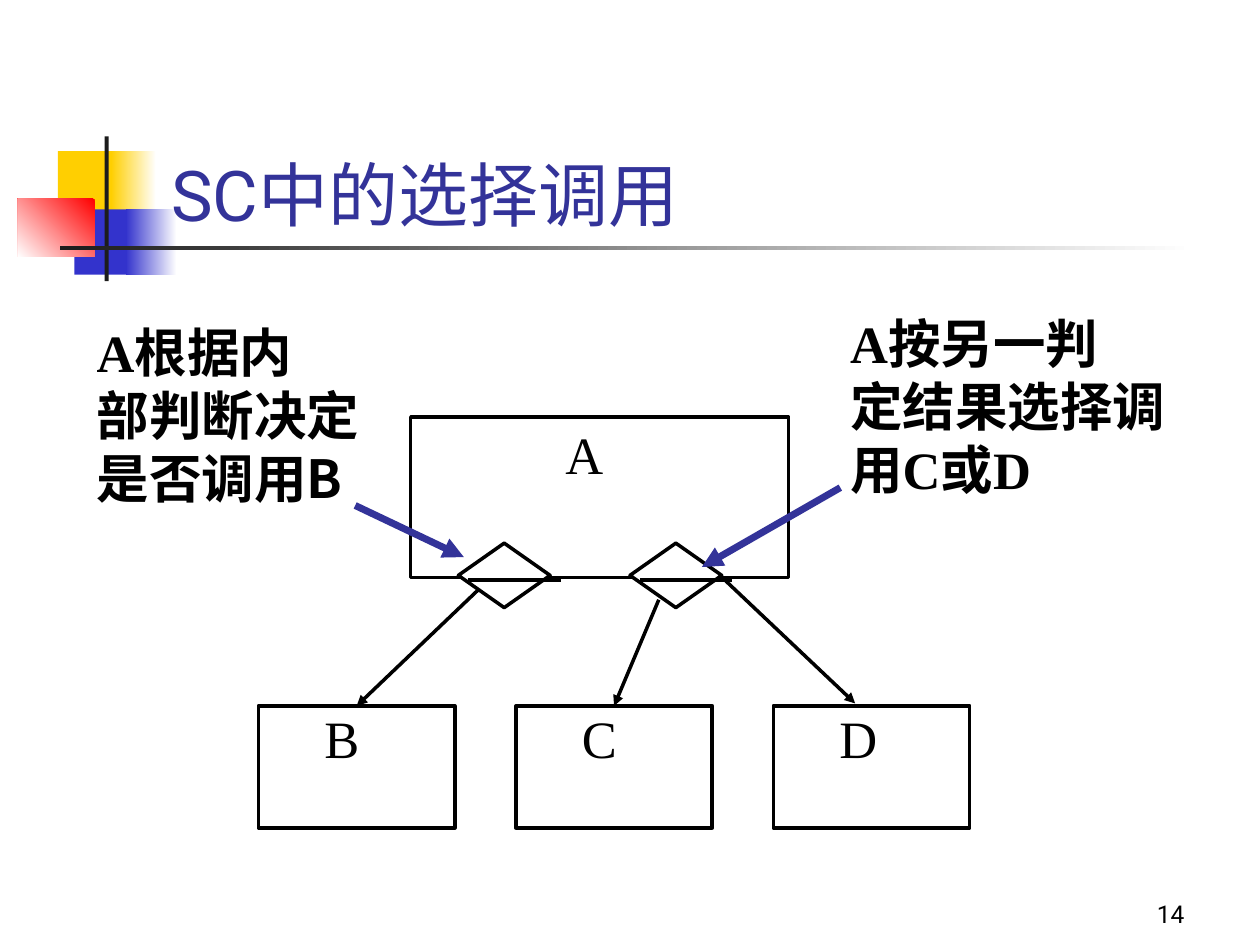
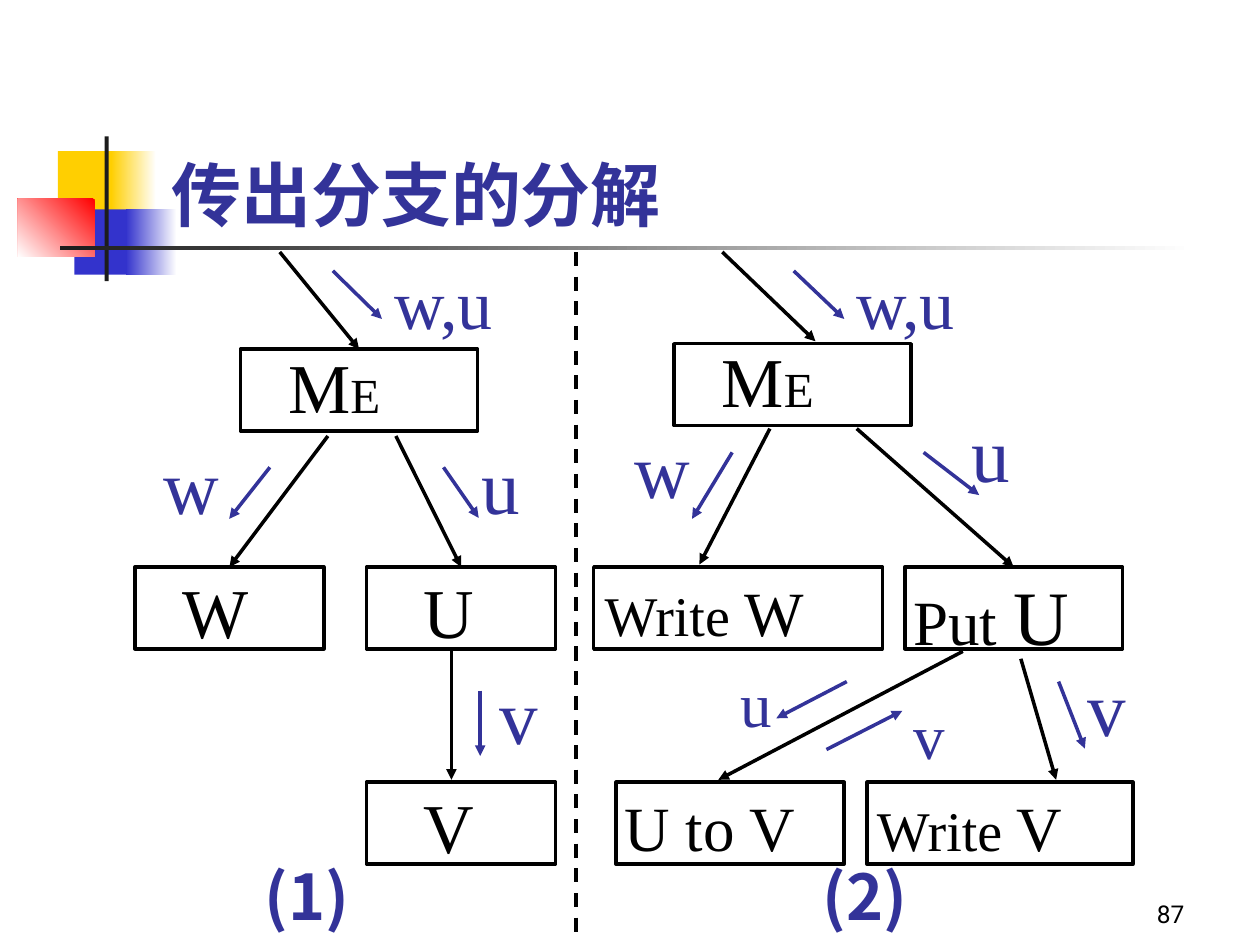
from lxml import etree
from pptx import Presentation
from pptx.dml.color import RGBColor
from pptx.enum.dml import MSO_LINE
from pptx.enum.shapes import MSO_CONNECTOR, MSO_SHAPE
from pptx.enum.text import MSO_ANCHOR, PP_ALIGN
from pptx.oxml.ns import qn
from pptx.util import Cm, Pt

RECT, DIAMOND = MSO_SHAPE.RECTANGLE, MSO_SHAPE.DIAMOND
STRAIGHT, DASH = MSO_CONNECTOR.STRAIGHT, MSO_LINE.DASH
BOTTOM, TOP = MSO_ANCHOR.BOTTOM, MSO_ANCHOR.TOP
LEFT, RIGHT = PP_ALIGN.LEFT, PP_ALIGN.RIGHT

BLACK, WHITE, BLUE = "000000", "FFFFFF", "333399"
GOLD, INDIGO, RED, DARK = "FFCF01", "3333CC", "FF0000", "1C1C1C"
SERIF, HAN, SANS = "Times New Roman", "Noto Sans CJK SC", "Roboto"


def rgb(code):
    return RGBColor.from_string(code)


def write(frame, paras, color=BLACK, bold=False, align=LEFT, anchor=TOP):
    """Fill a frame; each paragraph is a list of (text, size, font)."""
    frame.word_wrap = True
    frame.vertical_anchor = anchor
    for i, runs in enumerate(paras):
        para = frame.add_paragraph() if i else frame.paragraphs[0]
        para.alignment = align
        for text, size, face in runs:
            run = para.add_run()
            run.text = text
            font = run.font
            font.size, font.bold, font.name = Pt(size), bold, face
            font.color.rgb = rgb(color)
            east = etree.SubElement(run._r.get_or_add_rPr(), qn("a:ea"))
            east.set("typeface", face)


class Pane:
    """A region of a slide; all parts are placed from its corner, in cm."""

    def __init__(self, slide, x, y):
        self.shapes, self.x, self.y = slide.shapes, x, y

    def spot(self, x, y):
        return Cm(self.x + x), Cm(self.y + y)

    def shape(self, kind, x, y, w, h):
        shape = self.shapes.add_shape(kind, *self.spot(x, y), Cm(w), Cm(h))
        shape.shadow.inherit = False
        shape.fill.solid()
        shape.fill.fore_color.rgb = rgb(WHITE)
        shape.line.color.rgb = rgb(BLACK)
        shape.line.width = Pt(2)
        return shape

    def text(self, x, y, w, h, paras, **style):
        box = self.shapes.add_textbox(*self.spot(x, y), Cm(w), Cm(h))
        write(box.text_frame, paras, **style)

    def label(self, x, y, w, runs, **style):
        size = max(run[1] for run in runs)
        self.text(x, y, w, 0.25 + 0.0423 * size, [runs], **style)

    def node(self, x, y, w, h, runs, dx, dy, wide):
        box = self.shape(RECT, x, y, w, h)
        self.label(x + dx, y + dy, wide, runs)
        return box

    def line(self, start, end, color=BLACK, width=2, head=True, dash=None):
        """Draw a line; an end given as a shape joins its top side."""
        joined = not isinstance(end, tuple)
        stop = start if joined else end
        line = self.shapes.add_connector(
            STRAIGHT, *self.spot(*start), *self.spot(*stop))
        if joined:
            line.end_connect(end, 0)
        line.line.color.rgb = rgb(color)
        line.line.width = Pt(width)
        if dash:
            line.line.dash_style = dash
        if head:
            tip = etree.SubElement(line.line._get_or_add_ln(), qn("a:tailEnd"))
            tip.set("type", "triangle")
        etree.SubElement(line._element.spPr, qn("a:effectLst"))

    def flows(self, pairs):
        for start, end in pairs:
            self.line(start, end, BLUE)

    def tags(self, items):
        for x, y, w, text, size in items:
            self.label(x, y, w, [(text, size, SERIF)], color=BLUE)


def decor(layout, slide):
    """Build the coloured blocks and rules, and move them to the layout."""
    title = layout.placeholders[0]
    title.left, title.top, title.width, title.height = (
        Cm(3.2), Cm(1.7), Cm(21.64), Cm(3.18))
    pane = Pane(slide, 0, 0)
    parts = [
        (1.17, 3.05, 1.22, 1.32, [GOLD], 0),
        (2.24, 3.05, 0.91, 1.32, [WHITE, GOLD], 180),
        (1.5, 4.22, 1.17, 1.32, [INDIGO], 0),
        (2.54, 4.22, 1.02, 1.32, [WHITE, INDIGO], 180),
        (0.36, 4.01, 1.55, 1.17, [RED, WHITE], 225),
        (2.11, 2.75, 0.08, 2.92, [DARK], 0),
        (1.22, 4.95, 22.86, 0.09, [WHITE, DARK], 180),
    ]
    for i, (x, y, w, h, colors, angle) in enumerate(parts):
        block = pane.shape(RECT, x, y, w, h)
        block.line.fill.background()
        if len(colors) == 1:
            block.fill.fore_color.rgb = rgb(colors[0])
        else:
            block.fill.gradient()
            block.fill.gradient_angle = angle
            for stop, color in zip(block.fill.gradient_stops, colors):
                stop.color.rgb = rgb(color)
        item = block._element
        item.nvSpPr.cNvPr.set("id", str(20 + i))
        layout.shapes._spTree.insert(2 + i, item)


def frame(slide, runs, page, bold=False):
    """Title and page number."""
    write(slide.shapes.title.text_frame, [runs], BLUE, bold, anchor=BOTTOM)
    Pane(slide, 18.85, 17.58).text(
        0, 0, 5.28, 1.27, [[(page, 14, SANS)]], align=RIGHT, anchor=BOTTOM)


def choice(slide, x, y):
    """Module A calling B, and C or D, on conditions."""
    pane = Pane(slide, x, y)
    pane.node(6.58, 2.26, 7.62, 3.23, [("A", 30, SERIF)], 2.87, -0.03, 1.7)
    b, c, _ = [
        pane.node(3.51 + 5.19 * i, 8.08, 3.96, 2.46,
                  [(name, 30, SERIF)], 1.08, -0.13, 1.27)
        for i, name in enumerate("BCD")]

    # Calls
    pane.line((8.13, 5.56), b)
    pane.line((11.58, 5.94), c)
    pane.line((12.93, 5.56), (15.54, 8.03))

    # Decisions
    for left in (7.54, 11):
        pane.shape(DIAMOND, left, 4.8, 1.85, 1.3)
        pane.line((left + 0.2, 5.54), (left + 2.06, 5.54), head=False)

    # Notes with pointers
    pane.line((5.46, 4.04), (7.65, 5.08), BLUE, 4)
    pane.line((15.24, 3.68), (12.45, 5.28), BLUE, 4)
    pane.text(0, 0.18, 6.17, 4.06, [
        [("A", 30, SERIF), ("根据内", 30, HAN)],
        [("部判断决定是否调用B", 30, HAN)]], bold=True)
    pane.text(15.19, 0, 7.47, 4.06, [
        [("A", 30, SERIF), ("按另一判", 30, HAN)],
        [("定结果选择调用", 30, HAN), ("C", 30, SERIF),
         ("或", 30, HAN), ("D", 30, SERIF)]], bold=True)


TALL = 1.65
ROWS = 6.35, 10.69


def root(pane, x, y):
    runs = [("M", 40, SERIF), ("E", 28, SERIF)]
    return pane.node(x, y, 4.78, TALL, runs, 0.71, -0.25, 2.5)


def caption(pane, x, text):
    pane.label(x, 12.09, 2.4, [(text, 36, HAN)], color=BLUE, bold=True)


def first(slide, x, y):
    """Tree (1)."""
    pane = Pane(slide, x, y)
    top = root(pane, 2.13, 1.96)
    w, u, _ = [
        pane.node(left, row, 3.81, TALL, [(name, 40, SERIF)], dx, -0.1, 1.83)
        for name, left, row, dx in (
            ("W", 0, ROWS[0], 0.71),
            ("U", 4.67, ROWS[0], 0.89),
            ("V", 4.67, ROWS[1], 0.89))]
    for start, end in (
            ((2.92, 0), top), ((3.89, 3.71), w), ((5.26, 3.71), u),
            ((6.38, 8.05), (6.38, 10.64))):
        pane.line(start, end)
    pane.flows([
        ((3.99, 0.38), (4.98, 1.35)), ((2.72, 4.34), (1.9, 5.38)),
        ((6.22, 4.34), (6.93, 5.36)), ((6.96, 8.84), (6.96, 10.16))])
    pane.tags([
        (4.98, 0.03, 3.91, "w,u", 40), (0.33, 3.61, 1.63, "w", 44),
        (6.73, 3.61, 1.27, "u", 44), (7.11, 8.25, 1.27, "v", 44)])
    caption(pane, 2.36, "(1)")


def second(slide, x, y):
    """Tree (2)."""
    pane = Pane(slide, x, y)
    root(pane, 1.65, 1.85)
    _, put, _, _ = [
        pane.node(left, row, w, TALL,
                  [(text, size, SERIF) for text, size in runs], dx, dy, wide)
        for left, row, w, runs, dx, dy, wide in (
            (0.03, ROWS[0], 5.82, [("Write", 32), (" W", 36)], -0.03, 0, 6.07),
            (6.3, ROWS[0], 4.39, [("Put ", 36), ("U", 44)], -0.08, -0.1, 4.88),
            (0.48, ROWS[1], 4.6, [("U to V", 36)], -0.08, 0, 4.2),
            (5.54, ROWS[1], 5.36, [("Write", 32), (" V", 36)], -0.05, 0, 6.07))]
    for start, end in (
            ((2.62, 0), (4.5, 1.8)), ((3.58, 3.56), (2.16, 6.3)),
            ((5.33, 3.56), put), ((7.47, 8.05), (2.54, 10.64)),
            ((8.64, 8.2), (9.35, 10.64))):
        pane.line(start, end)
    pane.flows([
        ((4.06, 0.38), (5.08, 1.35)), ((2.82, 4.04), (2.01, 5.38)),
        ((6.68, 4.04), (7.8, 4.9)), ((5.13, 8.66), (3.71, 9.4)),
        ((4.72, 10.03), (6.25, 9.25)), ((9.4, 8.66), (9.93, 10.01))])
    pane.tags([
        (5.08, 0.03, 3.91, "w,u", 40), (0.61, 3.3, 1.63, "w", 44),
        (7.39, 2.97, 1.27, "u", 44), (2.74, 8.2, 1.14, "u", 36),
        (6.22, 8.84, 1.14, "v", 36), (9.73, 8.1, 1.27, "v", 44)])
    caption(pane, 4.39, "(2)")


def main():
    deck = Presentation()
    deck.slide_width, deck.slide_height = Cm(25.4), Cm(19.05)
    layout = deck.slide_layouts[5]

    slide = deck.slides.add_slide(layout)
    decor(layout, slide)
    frame(slide, [("SC", 40, SANS), ("中的选择调用", 40, HAN)], "14")
    choice(slide, 1.7, 6.15)

    slide = deck.slides.add_slide(layout)
    frame(slide, [("传出分支的分解", 40, HAN)], "87", bold=True)
    first(slide, 2.72, 5.08)
    second(slide, 11.94, 5.08)
    Pane(slide, 11.61, 5.08).line((0, 0), (0, 13.74), head=False, dash=DASH)

    deck.save("out.pptx")


if __name__ == "__main__":
    main()
